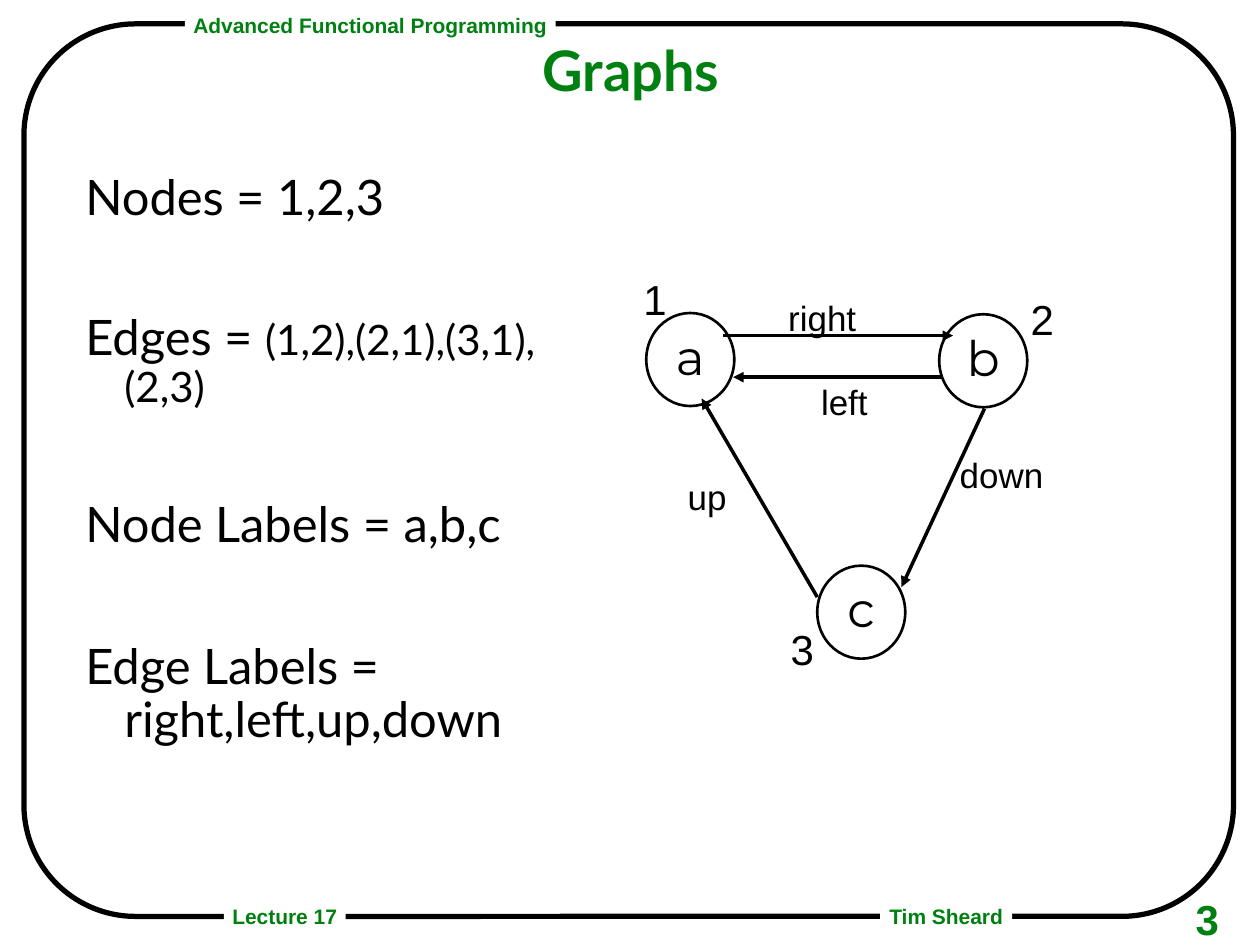
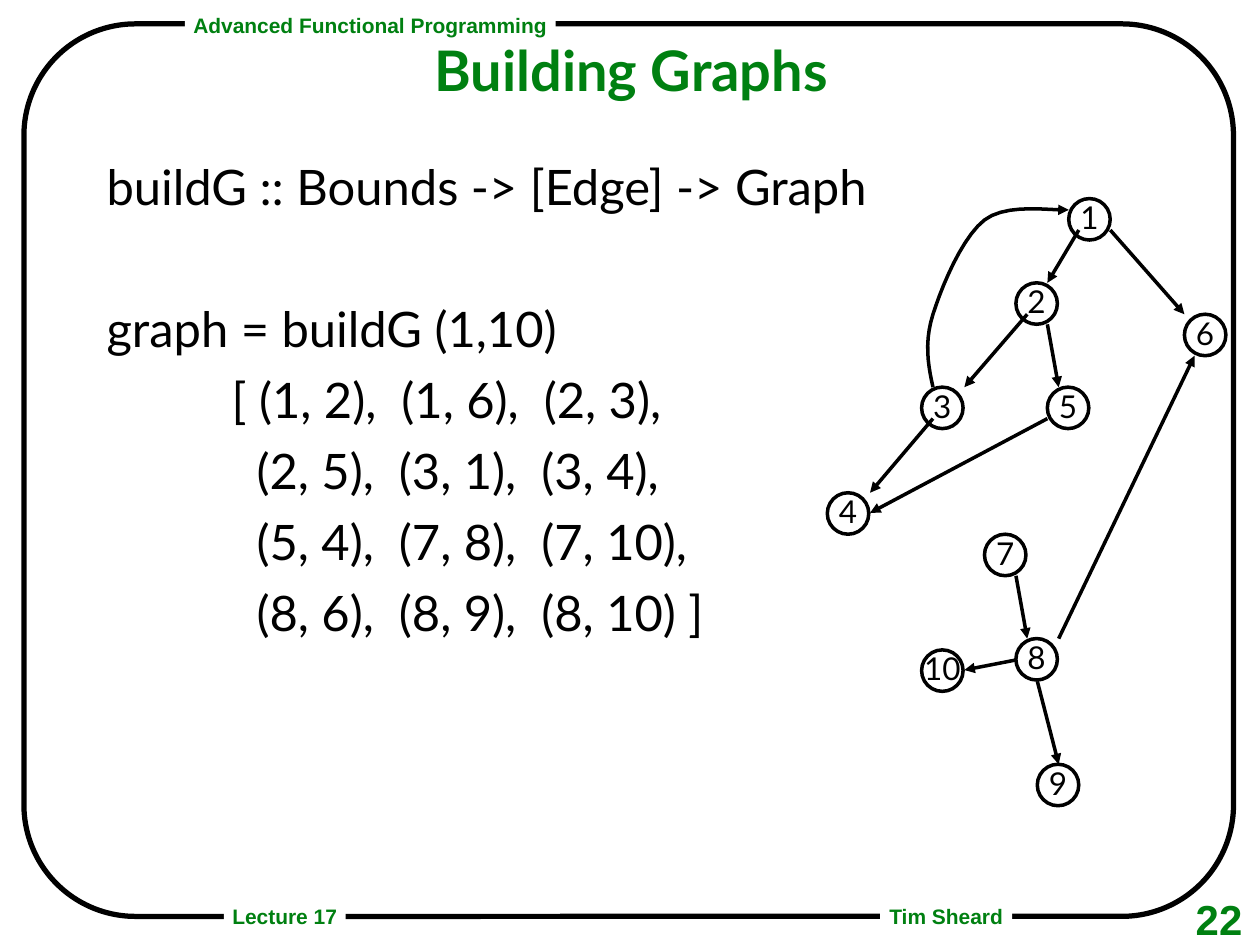
from lxml import etree
from pptx import Presentation
from pptx.dml.color import RGBColor
from pptx.enum.shapes import MSO_CONNECTOR, MSO_SHAPE
from pptx.enum.text import MSO_ANCHOR, PP_ALIGN
from pptx.oxml.ns import qn
from pptx.util import Inches, Pt

GREEN, BLACK, WHITE = (RGBColor.from_string(c) for c in ("008011", "000000", "FFFFFF"))
TIGHT, ROOMY = (0.07, 0.03), (0.1, 0.05)

# Theme: per text style, the font, colour, paragraph format and insets
THEME = {
    "title": dict(font=dict(name="Lato", size=Pt(32), bold=True), color=GREEN, inset=TIGHT,
                  para=dict(alignment=PP_ALIGN.CENTER, line_spacing=0.87)),
    "tag": dict(font=dict(name="Arial", size=Pt(12), bold=True), color=GREEN, inset=TIGHT,
                para=dict(alignment=PP_ALIGN.CENTER, line_spacing=0.97),
                frame=dict(vertical_anchor=MSO_ANCHOR.MIDDLE, word_wrap=False)),
    "number": dict(font=dict(name="Arial", size=Pt(24), bold=True), color=GREEN, inset=TIGHT,
                   para=dict(alignment=PP_ALIGN.LEFT, line_spacing=1.04)),
    "body": dict(font=dict(name="Lato", size=Pt(28)), color=BLACK, inset=ROOMY,
                 para=dict(alignment=PP_ALIGN.LEFT, line_spacing=0.9), hang=0.31),
    "node": dict(font=dict(name="Montserrat", size=Pt(28)), color=BLACK, inset=ROOMY,
                 para=dict(alignment=PP_ALIGN.CENTER, line_spacing=0.9)),
    "node_number": dict(font=dict(name="Arial", size=Pt(24)), color=BLACK, inset=ROOMY,
                        para=dict(alignment=PP_ALIGN.CENTER, line_spacing=0.9)),
    "edge": dict(font=dict(name="Arial", size=Pt(20)), color=BLACK, inset=ROOMY,
                 para=dict(alignment=PP_ALIGN.CENTER, line_spacing=0.9)),
    "small_node": dict(font=dict(name="Lato", size=Pt(18)), color=BLACK, inset=ROOMY,
                       para=dict(alignment=PP_ALIGN.CENTER, line_spacing=0.9),
                       frame=dict(vertical_anchor=MSO_ANCHOR.MIDDLE, word_wrap=False)),
}


def put(s, box, style, paras, kind=None, fill=None, line=None):
    """Add a text box or preset shape; paras lists (space before, [(text, size), ...])."""
    box = [Inches(v) for v in box]
    if kind is None:
        sp = s.shapes.add_textbox(*box)
    else:
        sp = s.shapes.add_shape(kind, *box)
        sp.shadow.inherit = False
        if fill is None:
            sp.fill.background()
        else:
            sp.fill.solid()
            sp.fill.fore_color.rgb = fill
        if line is None:
            sp.line.fill.background()
        else:
            sp.line.color.rgb = BLACK
            sp.line.width = Pt(line)
    st, tf = THEME[style], sp.text_frame
    dx, dy = (Inches(v) for v in st["inset"])
    frame = dict(margin_left=dx, margin_right=dx, margin_top=dy, margin_bottom=dy,
                 word_wrap=True, vertical_anchor=MSO_ANCHOR.TOP) | st.get("frame", {})
    for key, value in frame.items():
        setattr(tf, key, value)
    for i, (before, runs) in enumerate(paras):
        p = tf.add_paragraph() if i else tf.paragraphs[0]
        for key, value in st["para"].items():
            setattr(p, key, value)
        if before:
            p.space_before = Pt(before)
        if "hang" in st:
            pPr = p._p.get_or_add_pPr()
            pPr.set("marL", str(Inches(st["hang"])))
            pPr.set("indent", str(-Inches(st["hang"])))
        for text, size in runs:
            r = p.add_run()
            r.text = text
            for key, value in st["font"].items():
                setattr(r.font, key, value)
            r.font.color.rgb = st["color"]
            if size:
                r.font.size = Pt(size)
    return sp


def make_arrow(sp):
    """Give a connector or open outline a 2 pt black line with an arrowhead."""
    sp.line.color.rgb = BLACK
    sp.line.width = Pt(2)
    ln = sp.line._get_or_add_ln()
    etree.SubElement(ln, qn("a:tailEnd"), type="triangle")
    etree.SubElement(sp._element.spPr, qn("a:effectLst"))


prs = Presentation()
prs.slide_width, prs.slide_height = Pt(721.5), Pt(541.25)

# Shared frame, tags, page number and title
TITLE_CENTER = 5.02
TAGS = [("Advanced Functional Programming", (1.47, 0.08, 2.95, 0.25)),
        ("Tim Sheard", (7, 7.17, 1.05, 0.25)),
        ("Lecture 17", (1.78, 7.17, 0.97, 0.25))]
slides = []
for title, title_w, number in [("Graphs", 1.72, "3"), ("Building Graphs", 3.69, "22")]:
    s = prs.slides.add_slide(prs.slide_layouts[6])
    border = put(s, (0.19, 0.19, 9.62, 7.1), "tag", [], MSO_SHAPE.ROUNDED_RECTANGLE, line=3)
    border.adjustments[0] = 0.125
    for text, box in TAGS:
        put(s, box, "tag", [(0, [(text, None)])], MSO_SHAPE.RECTANGLE, fill=WHITE)
    put(s, (9.44, 7.06, 0.74, 0.47), "number", [(0, [(number, None)])])
    put(s, (TITLE_CENTER - title_w / 2, 0.33, title_w, 0.98), "title", [(0, [(title, None)])])
    slides.append(s)
graphs, building = slides

# Graphs: definitions
put(graphs, (0.58, 1.33, 3.92, 5.25), "body", [
    (0, [("Nodes = 1,2,3", None)]),
    (50, [("Edges = ", None), ("(1,2),(2,1),(3,1),(2,3)", 24)]),
    (51, [("Node Labels = a,b,c", None)]),
    (51, [("Edge Labels = right,left,up,down", None)]),
])

# Graphs: labelled nodes with their numbers
for label, x, y, number, nx, ny in [("a", 5.14, 2.49, "1", 5, 2.17),
                                    ("b", 7.47, 2.5, "2", 8.08, 2.33),
                                    ("c", 6.5, 4.5, "3", 6.17, 4.96)]:
    put(graphs, (x, y, 0.7, 0.74), "node", [(0, [(label, None)])], MSO_SHAPE.OVAL, line=1.5)
    put(graphs, (nx, ny, 0.42, 0.46), "node_number", [(0, [(number, None)])])

# Graphs: edge labels
for label, x, y, w in [("right", 5.86, 2.35, 1.36), ("left", 6.12, 3.02, 1.19),
                       ("down", 7.22, 3.6, 1.49), ("up", 5.06, 3.77, 1.13)]:
    put(graphs, (x, y, w, 0.4), "edge", [(0, [(label, None)])])

# Building Graphs: code
put(building, (0.75, 1.25, 7.83, 5.25), "body", [
    (before, [(text, None)]) for before, text in [
        (0, "buildG :: Bounds -> [Edge] -> Graph"),
        (51, "graph = buildG (1,10)"),
        (10.5, "          [ (1, 2),  (1, 6),  (2, 3),"),
        (10.5, "            (2, 5),  (3, 1),  (3, 4),"),
        (10.5, "            (5, 4),  (7, 8),  (7, 10),"),
        (10.5, "            (8, 6),  (8, 9),  (8, 10) ]"),
    ]])

# Building Graphs: numbered nodes
NODES = {1: (8.5, 1.58), 2: (8.08, 2.25), 3: (7.33, 3.08), 4: (6.58, 3.92), 5: (8.33, 3.08),
         6: (9.42, 2.5), 7: (7.83, 4.25), 8: (8.08, 5.08), 9: (8.25, 6.08), 10: (7.33, 5.17)}
for number, (x, y) in NODES.items():
    put(building, (x, y, 0.33, 0.33), "small_node", [(0, [(str(number), None)])],
        MSO_SHAPE.OVAL, line=2)

# Straight edges of both graphs
EDGES = [
    (graphs, [(5.75, 2.67, 7.58, 2.67), (7.5, 3, 5.83, 3),
              (6.5, 4.75, 5.58, 3.17), (7.83, 3.25, 7.17, 4.67)]),
    (building, [(8.58, 1.83, 8.33, 2.25), (8.83, 1.83, 9.42, 2.5), (8.17, 2.5, 7.67, 3.08),
                (8.33, 2.58, 8.42, 3.08), (7.42, 3.33, 6.92, 3.92), (8.33, 3.33, 6.92, 4.08),
                (8.08, 4.58, 8.17, 5.08), (8.42, 5.08, 9.5, 2.83), (8.25, 5.42, 8.42, 6.08),
                (8.08, 5.25, 7.67, 5.33)]),
]
for s, edges in EDGES:
    for ends in edges:
        make_arrow(s.shapes.add_connector(MSO_CONNECTOR.STRAIGHT, *(Inches(v) for v in ends)))

# Curved edge from 3 back to 1: Bezier pieces in short steps
STEPS = 10
start = (7.42, 3.08)
CURVE = [((7.38, 2.9), (7.35, 2.72), (7.42, 2.5)),
         ((7.49, 2.28), (7.65, 1.89), (7.83, 1.75)),
         ((8.01, 1.61), (8.39, 1.68), (8.5, 1.67))]
fb = building.shapes.build_freeform(Inches(start[0]), Inches(start[1]))
points = []
for c1, c2, end in CURVE:
    for i in range(1, STEPS + 1):
        t = i / STEPS
        weights = ((1 - t) ** 3, 3 * t * (1 - t) ** 2, 3 * t ** 2 * (1 - t), t ** 3)
        points.append([Inches(sum(w * pt[axis] for w, pt in zip(weights, (start, c1, c2, end))))
                       for axis in (0, 1)])
    start = end
fb.add_line_segments(points, close=False)
back_edge = fb.convert_to_shape()
back_edge.fill.background()
make_arrow(back_edge)

prs.save("out.pptx")
